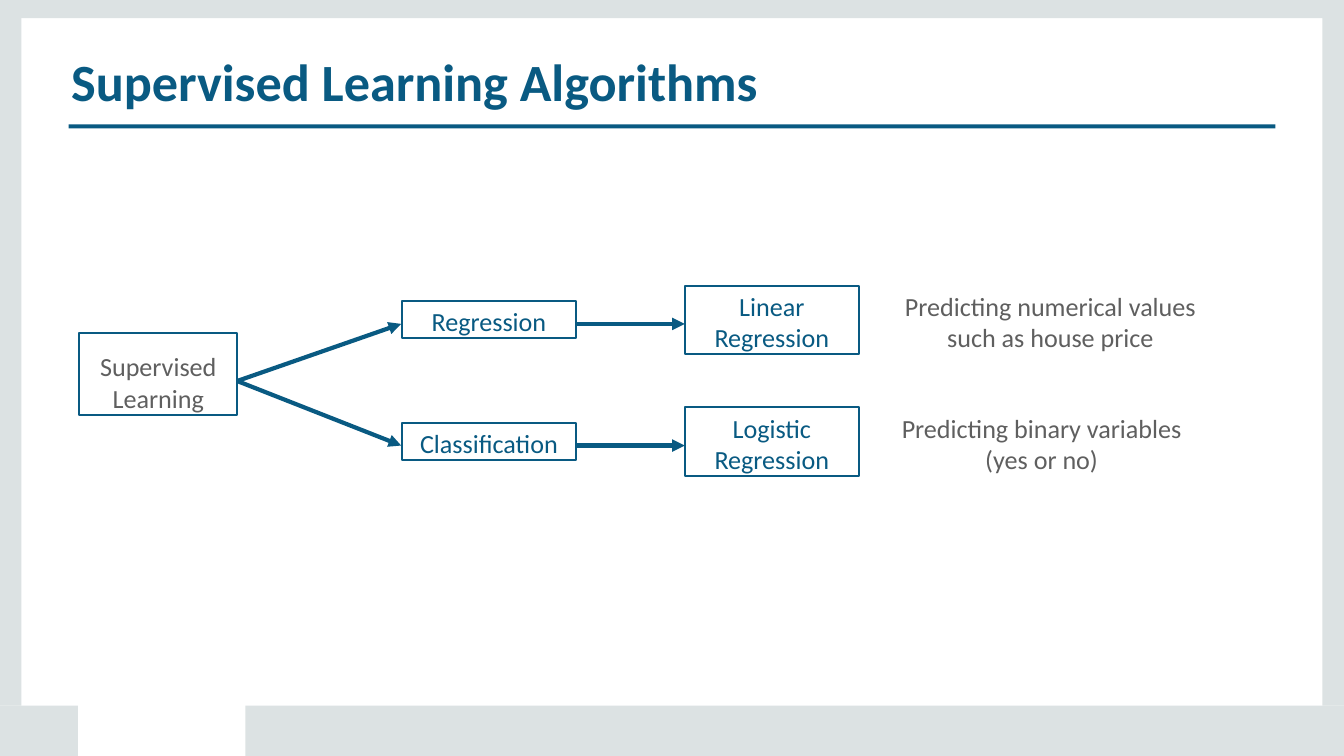
from lxml import etree
from pptx import Presentation
from pptx.dml.color import RGBColor
from pptx.enum.shapes import MSO_CONNECTOR, MSO_SHAPE
from pptx.enum.text import MSO_ANCHOR, PP_ALIGN
from pptx.oxml.ns import qn
from pptx.util import Inches, Pt

RECTANGLE = MSO_SHAPE.RECTANGLE
STRAIGHT = MSO_CONNECTOR.STRAIGHT
TOP = MSO_ANCHOR.TOP
LEFT, CENTER = PP_ALIGN.LEFT, PP_ALIGN.CENTER

BLUE = RGBColor(0x09, 0x5A, 0x82)
GRAY = RGBColor(0x5F, 0x5F, 0x5F)
PALE = RGBColor(0xDC, 0xE2, 0xE3)
WHITE = RGBColor(0xFF, 0xFF, 0xFF)

CELL = Inches(1)
COLUMNS, ROWS = 20, 11.25
BRANCH_STEP = 1.81


def grid(*cells):
    return [int(CELL * cell) for cell in cells]


def write(shape, lines, color, inset, size=28, bold=False, align=CENTER):
    frame = shape.text_frame
    frame.word_wrap = True
    frame.vertical_anchor = TOP
    frame.margin_left = frame.margin_right = frame.margin_bottom = 0
    frame.margin_top = int(CELL * inset)
    for index, line in enumerate(lines):
        para = frame.paragraphs[0] if index == 0 else frame.add_paragraph()
        para.alignment = align
        span = para.add_run()
        span.text = line
        span.font.name = "Calibri"
        span.font.size = Pt(size)
        span.font.bold = bold
        span.font.color.rgb = color


deck = Presentation()
deck.slide_width, deck.slide_height = grid(COLUMNS, ROWS)
page = deck.slides.add_slide(deck.slide_layouts[6])
page.background.fill.solid()
page.background.fill.fore_color.rgb = WHITE

edge, top, foot = 0.32, 0.27, 10.5
bars = [
    (COLUMNS - edge, top, edge, foot - top, PALE),
    (0, top, edge, foot - top, PALE),
    (3.65, foot, COLUMNS - 3.65, ROWS - foot, PALE),
    (0, foot, 1.16, ROWS - foot, PALE),
    (0, 0, COLUMNS, top, PALE),
    (1.02, 1.85, COLUMNS - 2 * 1.02, 0.06, BLUE),
]
for *place, color in bars:
    bar = page.shapes.add_shape(RECTANGLE, *grid(*place))
    bar.shadow.inherit = False
    bar.fill.solid()
    bar.fill.fore_color.rgb = color
    bar.line.fill.background()

title = page.shapes.add_textbox(*grid(1.06, 0.71, 10.25, 0.97))
write(title, ["Supervised Learning Algorithms"], BLUE, 0.03, 56, True, LEFT)

branches = [
    ("Regression", ["Linear Regression"],
     ["Predicting numerical values such as house price"], 13.43, 4.4),
    ("Classification", ["Logistic", "Regression"],
     ["Predicting binary variables", "(yes or no)"], 13.38, 4.24),
]
nodes = [(1.18, 4.96, 2.35, 1.21, ["Supervised Learning"], GRAY, 0.26)]
arrows = []
for index, (task, model, purpose, note_left, note_width) in enumerate(branches):
    shift = index * BRANCH_STEP
    nodes.append((5.98, 4.48 + shift, 2.59, 0.55, [task], BLUE, 0.07))
    nodes.append((10.19, 4.25 + shift, 2.59, 1.02, model, BLUE, 0.07))
    arrows.append((3.53, 5.67, 5.97, 4.82 + shift))
    arrows.append((8.56, 4.82 + shift, 10.19, 4.82 + shift))
    note = page.shapes.add_textbox(*grid(note_left, 4.29 + shift, note_width, 0.97))
    write(note, purpose, GRAY, 0.03)

for *place, lines, color, inset in nodes:
    node = page.shapes.add_shape(RECTANGLE, *grid(*place))
    node.shadow.inherit = False
    node.fill.background()
    node.line.color.rgb = BLUE
    node.line.width = Pt(2.28)
    write(node, lines, color, inset)

for ends in arrows:
    arrow = page.shapes.add_connector(STRAIGHT, *grid(*ends))
    arrow.line.color.rgb = BLUE
    arrow.line.width = Pt(4.5)
    etree.SubElement(arrow.line._get_or_add_ln(), qn("a:tailEnd"), type="triangle")
    etree.SubElement(arrow._element.spPr, qn("a:effectLst"))

deck.save("out.pptx")
